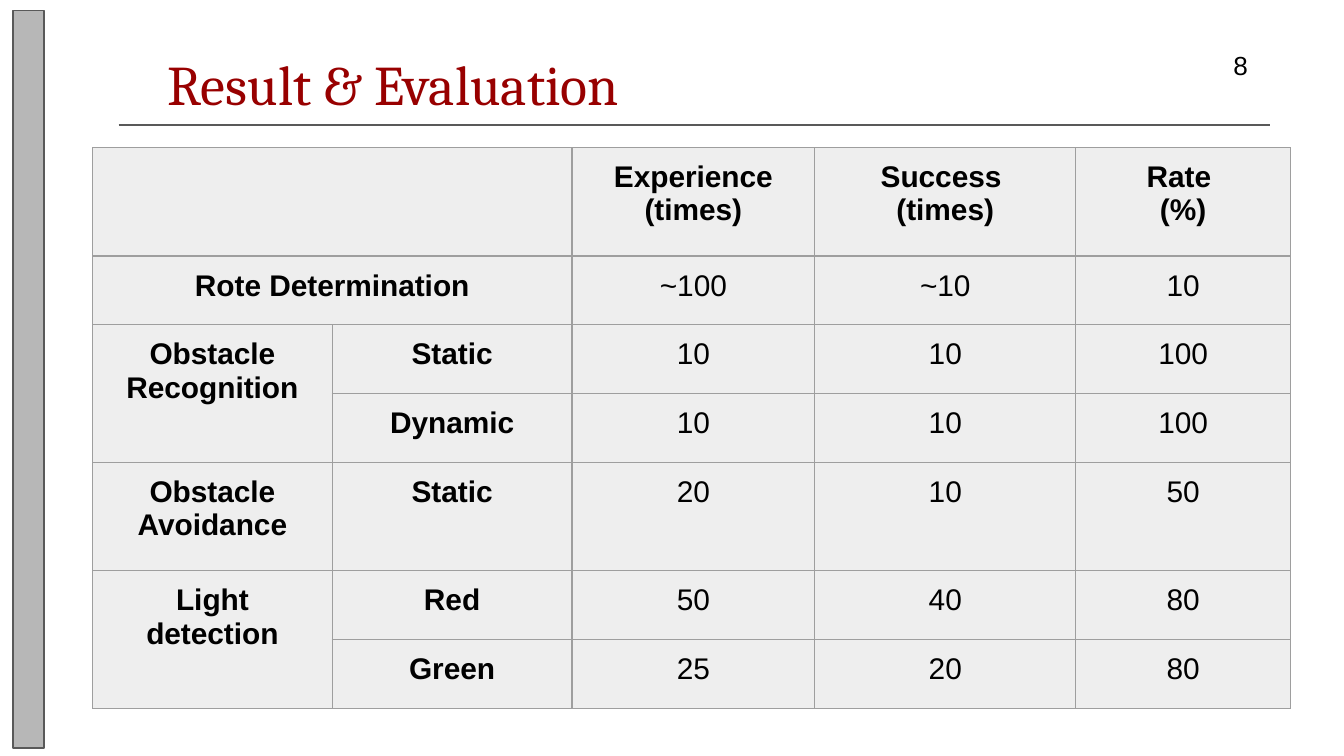
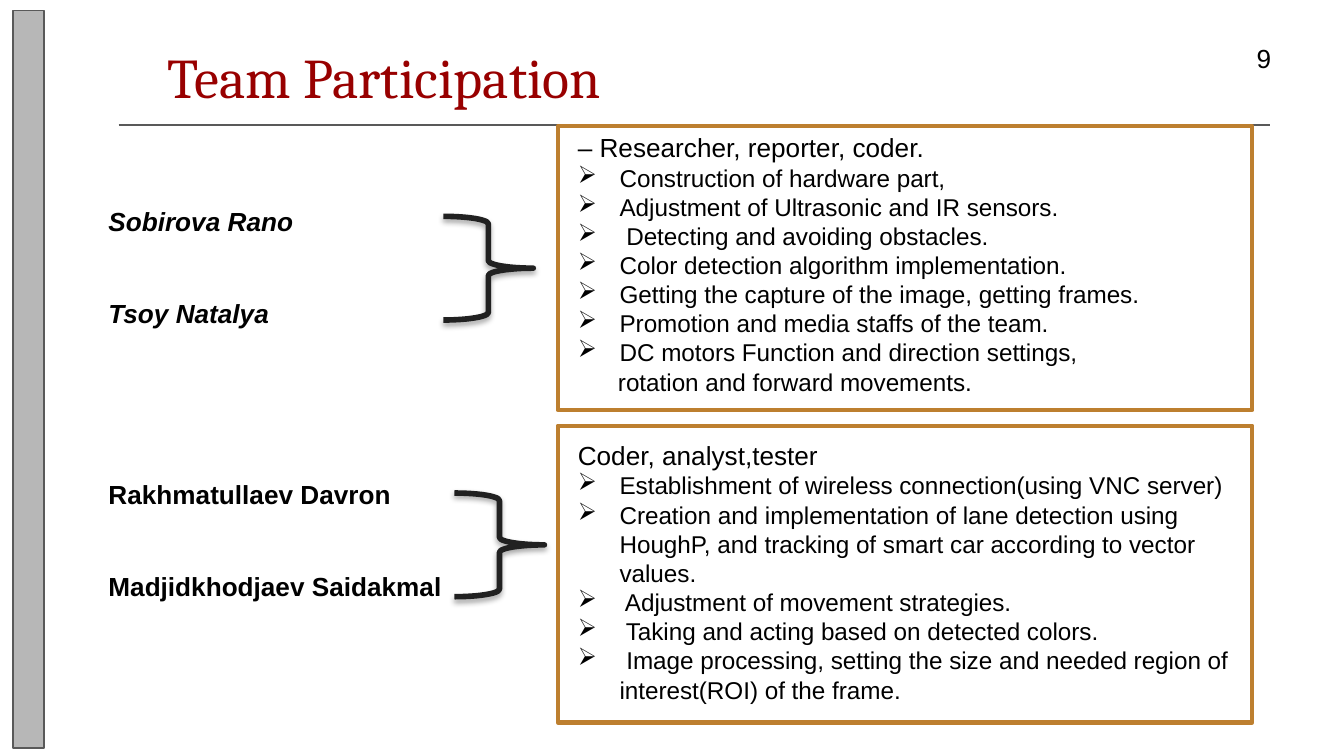
from dataclasses import dataclass

from lxml.etree import SubElement
from pptx import Presentation
from pptx.dml.color import RGBColor
from pptx.enum.shapes import MSO_CONNECTOR, MSO_SHAPE as Shp
from pptx.enum.text import MSO_ANCHOR as Anchor, MSO_AUTO_SIZE as AutoSize, PP_ALIGN as Align
from pptx.oxml.ns import qn
from pptx.util import Cm, Pt

BLACK = RGBColor(0x00, 0x00, 0x00)
DARK_RED = RGBColor(0x98, 0x00, 0x00)
BAR_GRAY = RGBColor(0xB7, 0xB7, 0xB7)
RULE_GRAY = RGBColor(0x59, 0x59, 0x59)
CELL_GRAY = RGBColor(0xEE, 0xEE, 0xEE)
BORDER_GRAY = RGBColor(0x9E, 0x9E, 0x9E)
BRACE_INK = RGBColor(0x21, 0x21, 0x21)
FRAME_GOLD = RGBColor(0xBD, 0x7F, 0x2F)

BODY_FONT, TITLE_FONT = "Arial", "Cambria"
INSET = Cm(0.25)
BULLET_INDENT = Cm(0.79)
NAME_LINE = 16.1  # points per line of 14 pt text


@dataclass(frozen=True)
class Box:
    """Left, top, width and height in centimetres."""
    left: float
    top: float
    width: float
    height: float

    def emu(self) -> tuple:
        return Cm(self.left), Cm(self.top), Cm(self.width), Cm(self.height)


@dataclass(frozen=True)
class Member:
    name: str
    italic: bool
    lines_before: int


@dataclass(frozen=True)
class Team:
    brace: Box
    text: Box
    frame: Box
    roles: str
    duties: tuple
    continuation: str = ""


COL_WIDTHS = (4.53, 4.53, 4.59, 4.93, 4.06)
ROW_HEIGHTS = (2.05, 1.3, 1.3, 1.3, 2.05, 1.3, 1.3)
RESULTS = (
    ("", "", "Experience\n(times)", "Success \n(times)", "Rate \n(%)"),
    ("Rote Determination", "", "~100", "~10", "10"),
    ("Obstacle Recognition", "Static", "10", "10", "100"),
    ("", "Dynamic", "10", "10", "100"),
    ("Obstacle Avoidance", "Static", "20", "10", "50"),
    ("Light detection", "Red", "50", "40", "80"),
    ("", "Green", "25", "20", "80"),
)
MERGES = (((0, 0), (0, 1)), ((1, 0), (1, 1)), ((2, 0), (3, 0)), ((5, 0), (6, 0)))

MEMBERS = (
    Member("Sobirova Rano", True, 0),
    Member("Tsoy Natalya", True, 2),
    Member("Rakhmatullaev Davron", False, 5),
    Member("Madjidkhodjaev Saidakmal", False, 2),
)
TEAMS = (
    Team(
        Box(8.38, 4.09, 1.7, 1.96), Box(10.67, 2.36, 14.35, 5.89), Box(10.54, 2.39, 13.13, 5.36),
        "– Researcher, reporter, coder.",
        (
            "Construction of hardware part,",
            "Adjustment of Ultrasonic and IR sensors.",
            " Detecting and avoiding obstacles.",
            "Color detection algorithm implementation.",
            "Getting the capture of the image, getting frames.",
            "Promotion and media staffs of the team.",
            "DC motors Function and direction settings,",
        ),
        "rotation and forward movements.",
    ),
    Team(
        Box(8.59, 9.32, 1.7, 1.96), Box(10.67, 8.18, 13.34, 5.31), Box(10.54, 8.05, 13.13, 5.61),
        "Coder, analyst,tester",
        (
            "Establishment of wireless connection(using VNC server)",
            "Creation and implementation of lane detection using HoughP, "
            "and tracking of smart car according to vector values.",
            " Adjustment of movement strategies.",
            " Taking and acting based on detected colors.",
            " Image processing, setting the size and needed region of interest(ROI) of the frame.",
        ),
    ),
)


def add_run(p, text: str, size: float, color: RGBColor = BLACK, font: str = BODY_FONT,
            bold: bool = False, italic: bool = False) -> None:
    r = p.add_run()
    r.text = text
    f = r.font
    f.name, f.size, f.bold, f.italic = font, Pt(size), bold, italic
    f.color.rgb = color


def next_paragraph(tf, index: int):
    return tf.add_paragraph() if index else tf.paragraphs[0]


def set_insets(item) -> None:
    item.margin_left = item.margin_right = item.margin_top = item.margin_bottom = INSET


def add_text_frame(slide, box: Box):
    tf = slide.shapes.add_textbox(*box.emu()).text_frame
    tf.word_wrap = True
    return tf


def add_outline_shape(slide, kind: Shp, box: Box, color: RGBColor, width: float):
    sp = slide.shapes.add_shape(kind, *box.emu())
    sp.shadow.inherit = False
    sp.fill.background()
    sp.line.color.rgb = color
    sp.line.width = Pt(width)
    return sp


def add_base_slide(prs, title: str, number: str, top: float, number_left: float):
    """Add a slide with the side bar, page number, title and title rule."""
    slide = prs.slides.add_slide(prs.slide_layouts[6])
    bar = add_outline_shape(slide, Shp.RECTANGLE, Box(0.25, 0.2, 0.58, 13.94), RULE_GRAY, 0.75)
    bar.fill.solid()
    bar.fill.fore_color.rgb = BAR_GRAY

    tf = add_text_frame(slide, Box(number_left, top, 1.52, 1.09))
    set_insets(tf)
    tf.vertical_anchor = Anchor.MIDDLE
    add_run(tf.paragraphs[0], number, 14)

    tf = add_text_frame(slide, Box(2.92, top, 16.8, 2.74))
    set_insets(tf)
    add_run(tf.paragraphs[0], title, 30, DARK_RED, TITLE_FONT)

    rule = slide.shapes.add_connector(MSO_CONNECTOR.STRAIGHT, Cm(2.24), Cm(2.36), Cm(24), Cm(2.36))
    rule.line.color.rgb = RULE_GRAY
    rule.line.width = Pt(0.75)
    SubElement(rule._element.spPr, qn("a:effectLst"))
    return slide


def add_borders(cell) -> None:
    tc_pr = cell._tc.get_or_add_tcPr()
    for side in ("a:lnL", "a:lnR", "a:lnT", "a:lnB"):
        ln = SubElement(tc_pr, qn(side), w=str(Pt(0.75)))
        fill = SubElement(ln, qn("a:solidFill"))
        SubElement(fill, qn("a:srgbClr"), val=str(BORDER_GRAY))


def add_results_table(slide) -> None:
    box = Box(1.75, 2.79, sum(COL_WIDTHS), sum(ROW_HEIGHTS))
    table = slide.shapes.add_table(len(RESULTS), len(COL_WIDTHS), *box.emu()).table
    for column, width in zip(table.columns, COL_WIDTHS):
        column.width = Cm(width)
    for row, height in zip(table.rows, ROW_HEIGHTS):
        row.height = Cm(height)
    for i, row in enumerate(RESULTS):
        for j, text in enumerate(row):
            cell = table.cell(i, j)
            set_insets(cell)
            add_borders(cell)
            cell.fill.solid()
            cell.fill.fore_color.rgb = CELL_GRAY
            if not text:
                continue
            for k, line in enumerate(text.split("\n")):
                p = next_paragraph(cell.text_frame, k)
                p.alignment = Align.CENTER
                add_run(p, line, 16, bold=i == 0 or j < 2)
    for first, last in MERGES:
        table.cell(*first).merge(table.cell(*last))


def add_members(slide) -> None:
    tf = add_text_frame(slide, Box(1.8, 3.76, 20.52, 8.03))
    tf.auto_size = AutoSize.SHAPE_TO_FIT_TEXT
    for i, member in enumerate(MEMBERS):
        p = next_paragraph(tf, i)
        p.space_before = Pt(member.lines_before * NAME_LINE)
        add_run(p, member.name, 14, bold=True, italic=member.italic)


def add_brace(slide, box: Box) -> None:
    """Draw a right brace with a soft shadow below it."""
    sp = add_outline_shape(slide, Shp.RIGHT_BRACE, box, BRACE_INK, 3)
    effects = sp._element.spPr.find(qn("a:effectLst"))
    shadow = SubElement(effects, qn("a:outerShdw"), blurRad=str(Pt(3.1)), dist=str(Pt(1.8)),
                        dir="5400000", rotWithShape="0")
    color = SubElement(shadow, qn("a:srgbClr"), val=str(BLACK))
    SubElement(color, qn("a:alpha"), val="35000")


def add_duties(slide, team: Team) -> None:
    tf = add_text_frame(slide, team.text)
    tf.auto_size = AutoSize.SHAPE_TO_FIT_TEXT
    add_run(tf.paragraphs[0], team.roles, 14)
    for duty in team.duties:
        p = tf.add_paragraph()
        p_pr = p._p.get_or_add_pPr()
        p_pr.set("marL", str(BULLET_INDENT))
        p_pr.set("indent", str(-BULLET_INDENT))
        SubElement(p_pr, qn("a:buChar"), char="➢")
        add_run(p, duty, 13)
    if team.continuation:
        p = tf.add_paragraph()
        p._p.get_or_add_pPr().set("marL", str(Cm(0.76)))
        add_run(p, team.continuation, 13)


def main() -> None:
    prs = Presentation()
    prs.slide_width, prs.slide_height = Cm(25.4), Cm(14.29)

    add_results_table(add_base_slide(prs, "Result & Evaluation", "8", 0.69, 23.06))

    slide = add_base_slide(prs, "Team Participation", "9", 0.56, 23.5)
    add_members(slide)
    for team in TEAMS:
        add_brace(slide, team.brace)
        add_duties(slide, team)
    for team in TEAMS:
        add_outline_shape(slide, Shp.RECTANGLE, team.frame, FRAME_GOLD, 2.25)

    prs.save("out.pptx")


if __name__ == "__main__":
    main()
